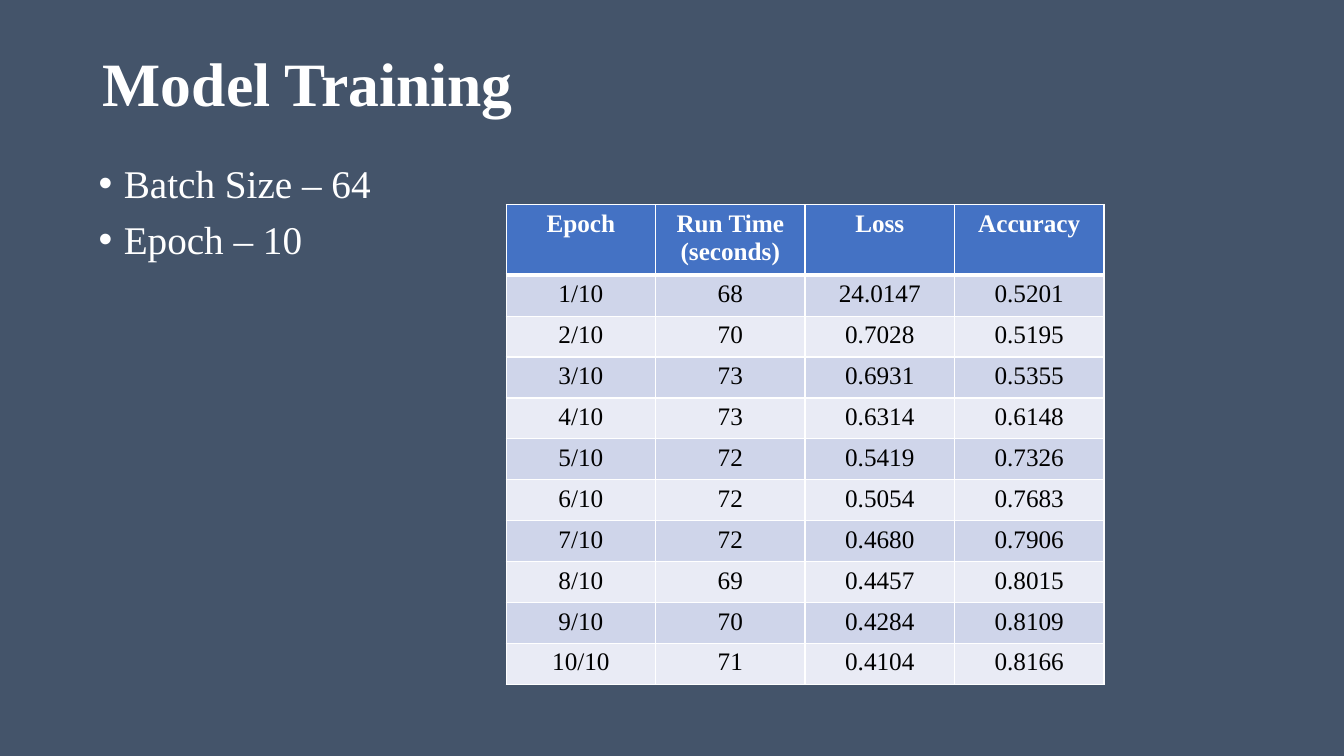
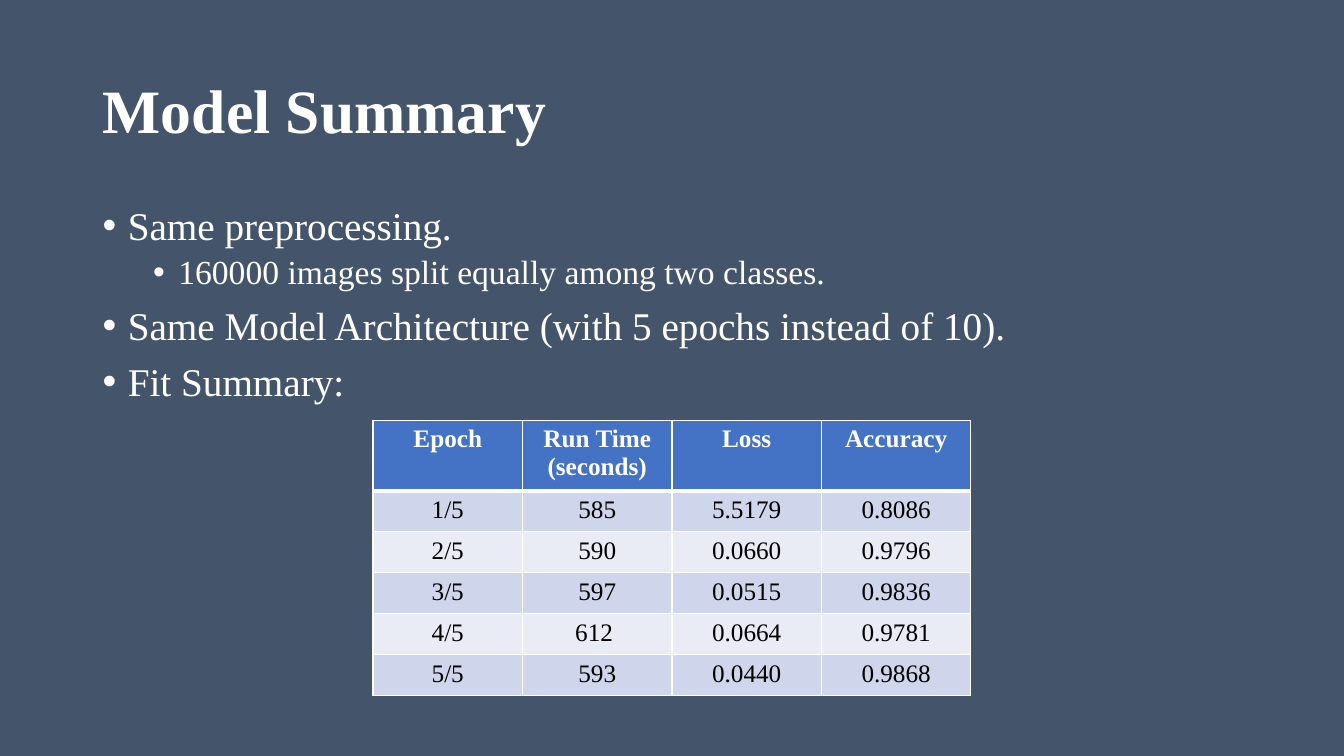
from dataclasses import dataclass
from typing import Optional

from lxml.etree import SubElement
from pptx import Presentation
from pptx.dml.color import RGBColor
from pptx.enum.text import MSO_ANCHOR, MSO_AUTO_SIZE, PP_ALIGN
from pptx.oxml.ns import qn
from pptx.util import Inches, Pt

FONT = "Times New Roman"
SLATE = RGBColor(0x44, 0x54, 0x6A)
WHITE = RGBColor(0xFF, 0xFF, 0xFF)
BLACK = RGBColor(0x00, 0x00, 0x00)
BLUE = RGBColor(0x44, 0x72, 0xC4)
BAND_DARK = RGBColor(0xCF, 0xD5, 0xEA)
BAND_LIGHT = RGBColor(0xE9, 0xEB, 0xF5)

HEADINGS = ("Epoch", "Run Time (seconds)", "Loss", "Accuracy")
HEADER_HEIGHT = Inches(0.65)
TABLE_WIDTH = Inches(5.93)
TITLE_ONLY = 5


@dataclass(frozen=True)
class Box:
    left: float
    top: float
    width: float
    height: float

    def lengths(self) -> tuple:
        return tuple(Inches(value) for value in (self.left, self.top, self.width, self.height))


@dataclass(frozen=True)
class Bullet:
    text: str
    level: int = 0


@dataclass(frozen=True)
class ResultSlide:
    title: str
    title_top: float
    bullets: tuple
    bullet_box: Box
    table_left: float
    table_top: float
    table_height: float
    results: tuple


RESULT_SLIDES = (
    ResultSlide(
        "Model Training", 0.13,
        (Bullet("Batch Size – 64"), Bullet("Epoch – 10")),
        Box(0.88, 1.58, 3.52, 4.76),
        5.02, 2.03, 4.71,
        (
            ("1/10", "68", "24.0147", "0.5201"),
            ("2/10", "70", "0.7028", "0.5195"),
            ("3/10", "73", "0.6931", "0.5355"),
            ("4/10", "73", "0.6314", "0.6148"),
            ("5/10", "72", "0.5419", "0.7326"),
            ("6/10", "72", "0.5054", "0.7683"),
            ("7/10", "72", "0.4680", "0.7906"),
            ("8/10", "69", "0.4457", "0.8015"),
            ("9/10", "70", "0.4284", "0.8109"),
            ("10/10", "71", "0.4104", "0.8166"),
        ),
    ),
    ResultSlide(
        "Model Summary", 0.4,
        (
            Bullet("Same preprocessing."),
            Bullet("160000 images split equally among two classes.", 1),
            Bullet("Same Model Architecture (with 5 epochs instead of 10)."),
            Bullet("Fit Summary:"),
        ),
        Box(0.92, 2, 11.5, 4.76),
        3.7, 4.17, 2.68,
        (
            ("1/5", "585", "5.5179", "0.8086"),
            ("2/5", "590", "0.0660", "0.9796"),
            ("3/5", "597", "0.0515", "0.9836"),
            ("4/5", "612 ", "0.0664", "0.9781"),
            ("5/5", "593", "0.0440", "0.9868"),
        ),
    ),
)


def write_text(paragraph, text: str, *, size: float, color: RGBColor = WHITE, bold: bool = False,
               align: PP_ALIGN = PP_ALIGN.LEFT, line_spacing: Optional[float] = None,
               space_before: float = 0) -> None:
    paragraph.text = text
    paragraph.alignment = align
    paragraph.space_before = Pt(space_before)
    if line_spacing:
        paragraph.line_spacing = line_spacing
    font = paragraph.runs[0].font
    font.name = FONT
    font.size = Pt(size)
    font.bold = bold
    font.color.rgb = color


def set_bullet(paragraph, level: int) -> None:
    paragraph.level = level
    properties = paragraph._p.get_or_add_pPr()
    properties.set("marL", str(Inches(0.25 + 0.5 * level)))
    properties.set("indent", str(-Inches(0.25)))
    SubElement(properties, qn("a:buFont"), typeface="Arial")
    SubElement(properties, qn("a:buChar"), char="•")


def set_borders(cell, **widths: float) -> None:
    properties = cell._tc.get_or_add_tcPr()
    for side in ("L", "R", "T", "B"):
        line = SubElement(properties, qn(f"a:ln{side}"), w=str(Pt(widths.get(side, 1))))
        SubElement(SubElement(line, qn("a:solidFill")), qn("a:srgbClr"), val=str(WHITE))


def add_title(slide, text: str, top: float) -> None:
    title = slide.shapes.title
    title.left, title.top, title.width, title.height = Box(0.92, top, 11.5, 1.45).lengths()
    frame = title.text_frame
    frame.auto_size = MSO_AUTO_SIZE.NONE
    frame.vertical_anchor = MSO_ANCHOR.MIDDLE
    write_text(frame.paragraphs[0], text, size=44, bold=True, line_spacing=0.9)


def add_bullets(slide, bullets: tuple, box: Box) -> None:
    frame = slide.shapes.add_textbox(*box.lengths()).text_frame
    frame.word_wrap = True
    for index, bullet in enumerate(bullets):
        paragraph = frame.add_paragraph() if index else frame.paragraphs[0]
        set_bullet(paragraph, bullet.level)
        space_before = (5 if bullet.level else 10) if index else 0
        write_text(paragraph, bullet.text, size=28 - 4 * bullet.level,
                   line_spacing=0.9, space_before=space_before)


def add_results(slide, content: ResultSlide) -> None:
    rows = (HEADINGS, *content.results)
    height = Inches(content.table_height)
    table = slide.shapes.add_table(len(rows), len(HEADINGS), Inches(content.table_left),
                                   Inches(content.table_top), TABLE_WIDTH, height).table
    table.horz_banding = False
    row_height = (height - HEADER_HEIGHT) // len(content.results)
    for row_index, values in enumerate(rows):
        is_header = row_index == 0
        table.rows[row_index].height = HEADER_HEIGHT if is_header else row_height
        band = BAND_DARK if row_index % 2 else BAND_LIGHT
        for column_index, value in enumerate(values):
            cell = table.cell(row_index, column_index)
            set_borders(cell, T=3 if row_index == 1 else 1, B=3 if is_header else 1)
            cell.fill.solid()
            cell.fill.fore_color.rgb = BLUE if is_header else band
            write_text(cell.text_frame.paragraphs[0], value, size=18, bold=is_header,
                       color=WHITE if is_header else BLACK, align=PP_ALIGN.CENTER)


def main() -> None:
    presentation = Presentation()
    presentation.slide_width = Inches(13.33)
    presentation.slide_height = Inches(7.5)
    background = presentation.slide_master.background.fill
    background.solid()
    background.fore_color.rgb = SLATE
    for content in RESULT_SLIDES:
        slide = presentation.slides.add_slide(presentation.slide_layouts[TITLE_ONLY])
        add_title(slide, content.title, content.title_top)
        add_bullets(slide, content.bullets, content.bullet_box)
        add_results(slide, content)
    presentation.save("out.pptx")


if __name__ == "__main__":
    main()
